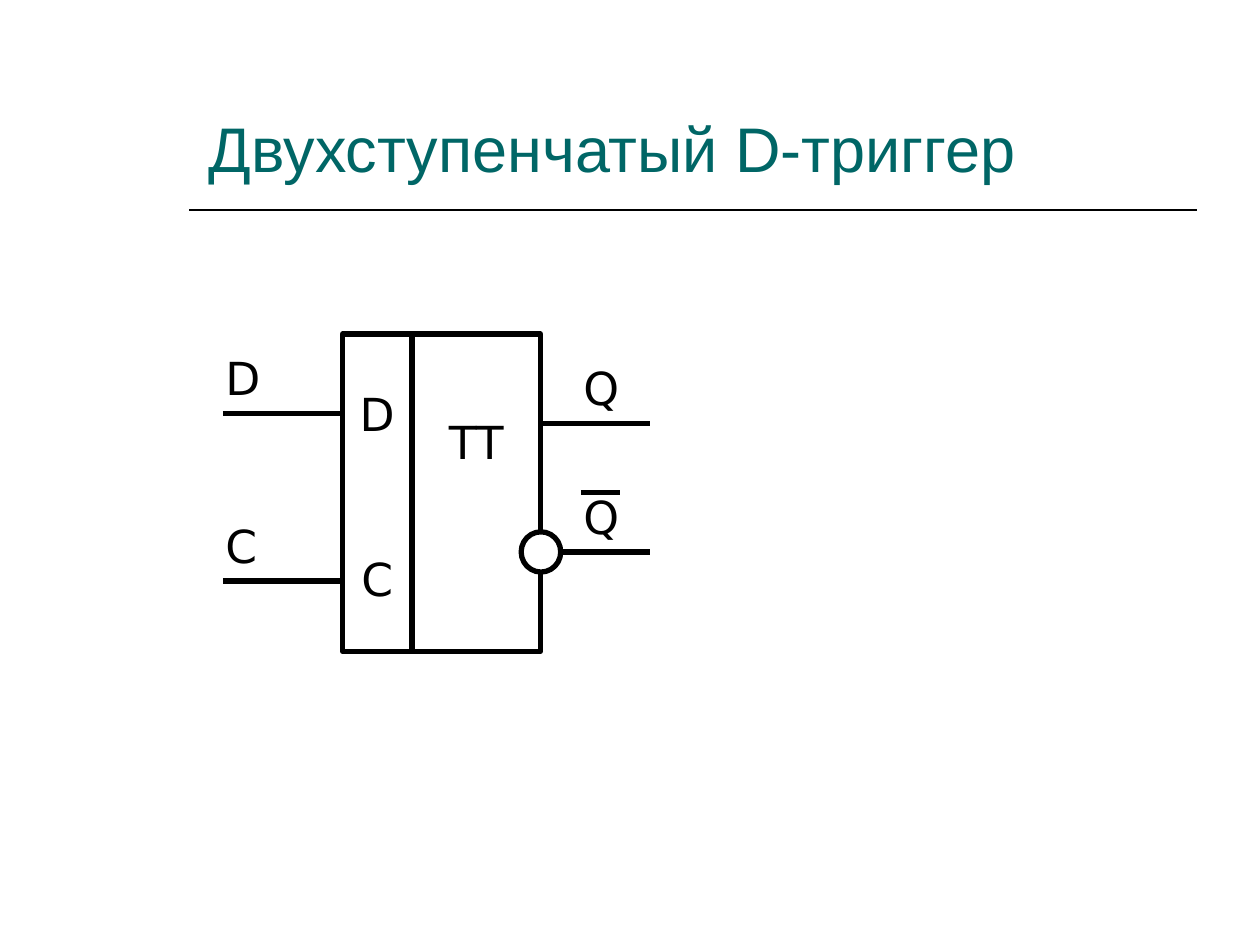
import pptx
import pptx.util
import pptx.dml.color
import pptx.enum.shapes
import pptx.enum.text
import pptx.oxml.ns
import lxml.etree

Pt = pptx.util.Pt
Kind = pptx.enum.shapes.MSO_SHAPE
Anchor = pptx.enum.text.MSO_ANCHOR
Align = pptx.enum.text.PP_ALIGN
BLACK, WHITE, TEAL = "000000", "FFFFFF", "006666"
FONT = "DejaVu Sans"
TOP, HIGH = 190.8, 181.4
LEFT, SPLIT, RIGHT = 195.8, 235.4, 308.9
START, END = 127.4, 371.5


def color(code):
    return pptx.dml.color.RGBColor.from_string(code)


def write(frame, text, size=26, font=FONT, code=BLACK):
    frame.text = text
    for para in frame.paragraphs:
        for run in para.runs:
            run.font.size = Pt(size)
            run.font.name = font
            run.font.color.rgb = color(code)


def add_line(slide, x, y, end, width=3):
    line = slide.shapes.add_connector(
        pptx.enum.shapes.MSO_CONNECTOR.STRAIGHT, Pt(x), Pt(y), Pt(end), Pt(y))
    line.line.color.rgb = color(BLACK)
    line.line.width = Pt(width)
    props = line._element.spPr
    lxml.etree.SubElement(props, pptx.oxml.ns.qn("a:effectLst"))


def add_shape(slide, kind, x, y, width, height):
    shape = slide.shapes.add_shape(kind, Pt(x), Pt(y), Pt(width), Pt(height))
    shape.shadow.inherit = False
    shape.fill.solid()
    shape.fill.fore_color.rgb = color(WHITE)
    shape.line.color.rgb = color(BLACK)
    shape.line.width = Pt(3)
    return shape


def add_block(slide, x, end, text, inset, gap=0):
    block = add_shape(slide, Kind.RECTANGLE, x, TOP, end - x, HIGH)
    frame = block.text_frame
    write(frame, text)
    frame.word_wrap = False
    frame.vertical_anchor = Anchor.TOP
    frame.margin_top = Pt(inset)
    for para in frame.paragraphs:
        para.alignment = Align.CENTER
    for para in frame.paragraphs[1:]:
        para.space_before = Pt(gap)


def add_text(slide, x, y, width, height, text, **style):
    box = slide.shapes.add_textbox(Pt(x), Pt(y), Pt(width), Pt(height))
    box.text_frame.word_wrap = True
    write(box.text_frame, text, **style)
    return box.text_frame


def add_title(slide, text):
    frame = add_text(slide, 112.3, 28.1, 567.4, 81.4, text,
                     size=36, font="Arial", code=TEAL)
    frame.vertical_anchor = Anchor.BOTTOM
    add_line(slide, 108, 120.2, 684, 1)


def main():
    deck = pptx.Presentation()
    deck.slide_width, deck.slide_height = Pt(720), Pt(540)
    slide = deck.slides.add_slide(deck.slide_layouts[6])
    add_title(slide, "Двухступенчатый D-триггер")
    add_block(slide, LEFT, SPLIT, "D\nC", 29.7, 63.4)
    add_block(slide, SPLIT, RIGHT, "TT", 45.7)
    wires = [
        ("D", START, LEFT, 236.2, 121.7, 196.6),
        ("C", START, LEFT, 332, 121.7, 292.4),
        ("Q", RIGHT, END, 241.8, 326.2, 202.4),
        ("Q", RIGHT, END, 315.4, 326.2, 275.8),
    ]
    for name, x, end, y, left, top in wires:
        add_line(slide, x, y, end)
        add_text(slide, left, top, 62, 38.9, name)
    add_line(slide, 332, 281.5, 354.3)
    add_shape(slide, Kind.OVAL, 297.8, 303.9, 22.6, 23)
    deck.save("out.pptx")


main()
